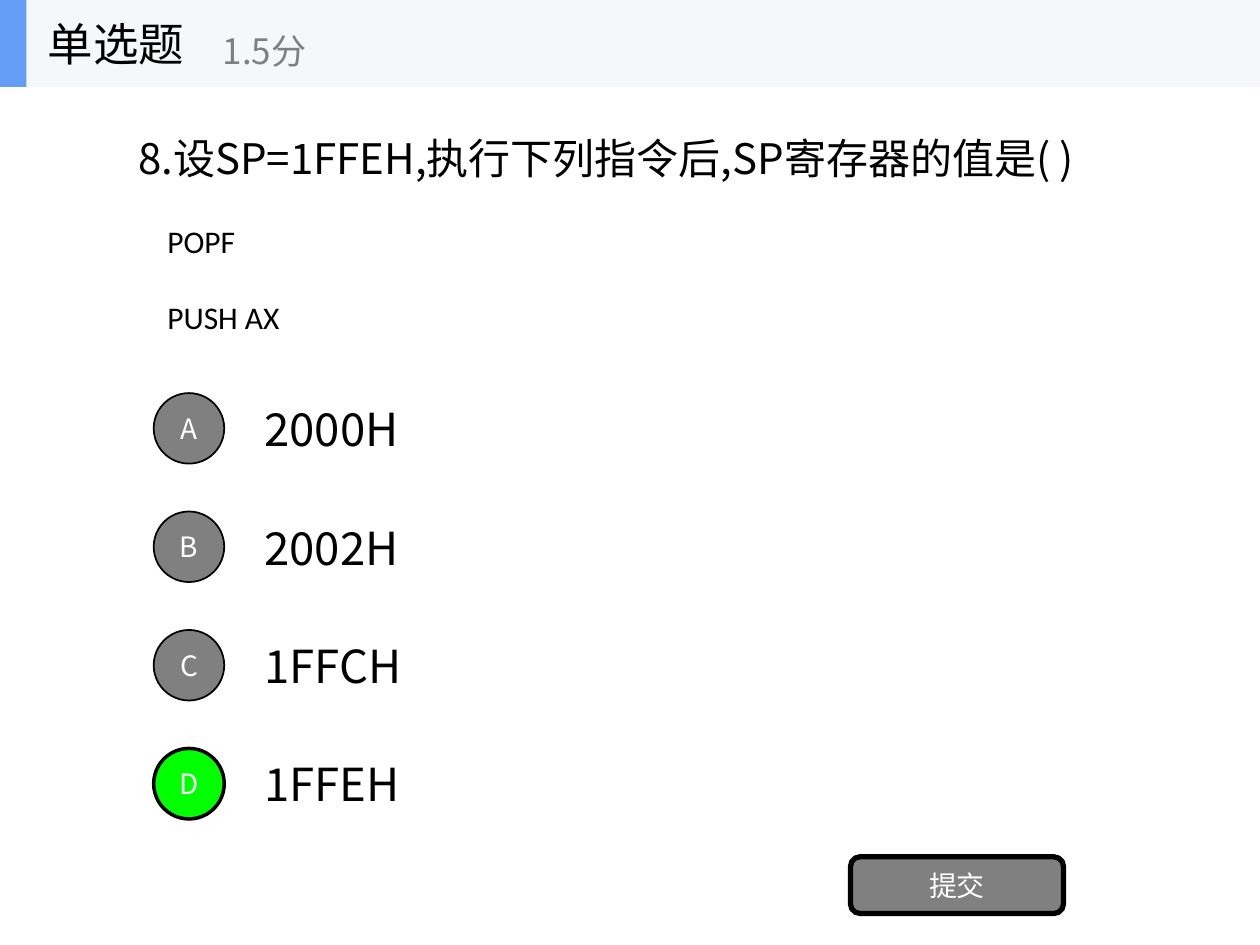
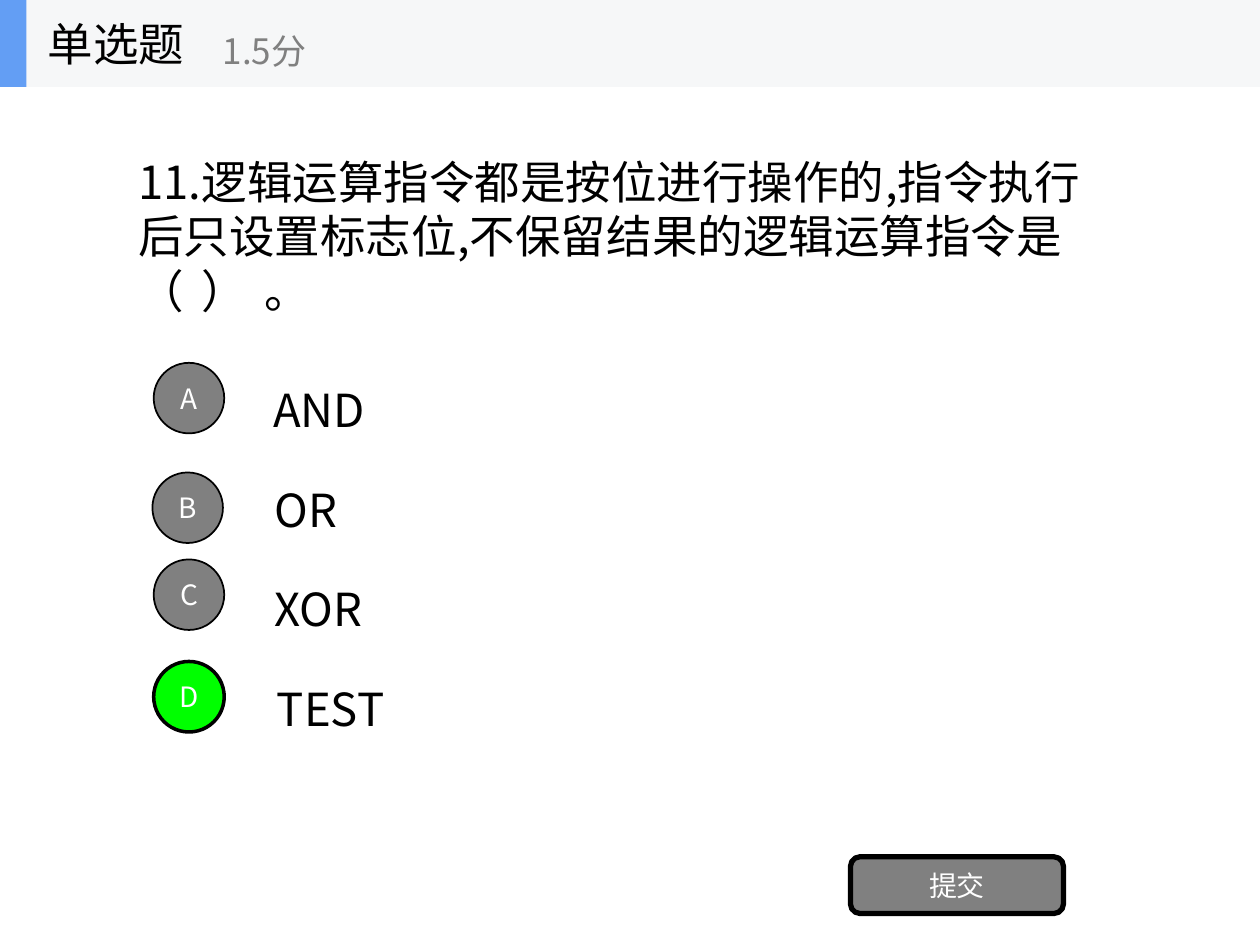
from lxml.etree import SubElement
from pptx import Presentation
from pptx.dml.color import RGBColor
from pptx.enum.shapes import MSO_SHAPE as Shape
from pptx.enum.text import MSO_ANCHOR as Anchor, MSO_AUTO_SIZE as AutoSize, PP_ALIGN as Align
from pptx.oxml.ns import qn
from pptx.util import Inches, Pt

# Shared look
BLACK = RGBColor(0x00, 0x00, 0x00)
WHITE = RGBColor(0xFF, 0xFF, 0xFF)
GRAY = RGBColor(0x80, 0x80, 0x80)
GREEN = RGBColor(0x00, 0xFF, 0x00)
BAND = RGBColor(0xF6, 0xF7, 0xF8)
ACCENT = RGBColor(0x63, 0x9E, 0xF4)
CJK, CODE = "Noto Sans CJK SC", "Calibri"

# Content: paragraphs are (text, paragraph format), options are (label, badge x, label x, label width)
HANG = 0.23
CODE_LINE = dict(size=18, font=CODE, margin=HANG, before=22)
QUESTIONS = [
    dict(
        box=(1, 0.81, 7.93, 2.1),
        paragraphs=[
            ("8.设SP=1FFEH,执行下列指令后,SP寄存器的值是( )",
             dict(size=24, margin=HANG, indent=-HANG)),
            ("POPF", CODE_LINE),
            ("PUSH AX", CODE_LINE),
        ],
        options=[("2000H", 1.22, 2, 1.43), ("2002H", 1.22, 2, 1.43),
                 ("1FFCH", 1.22, 2, 1.43), ("1FFEH", 1.22, 2, 1.38)],
        badge_tops=[3.12 + 0.94 * i for i in range(4)],
        label_tops=[3.13 + 0.94 * i for i in range(4)],
        answer="D",
    ),
    dict(
        box=(1, 1.17, 7.87, 1.4),
        paragraphs=[
            ("11.逻辑运算指令都是按位进行操作的,指令执行后只设置标志位,"
             "不保留结果的逻辑运算指令是 （\t）\t。",
             dict(size=26, tabs=(1.71, 2.28))),
        ],
        options=[("AND", 1.22, 2.07, 1.13), ("OR", 1.21, 2.08, 0.84),
                 ("XOR", 1.22, 2.08, 1.07), ("TEST", 1.22, 2.1, 1.13)],
        badge_tops=[2.88, 3.75, 4.44, 5.25],
        label_tops=[2.98 + 0.79 * i for i in range(4)],
        answer="D",
    ),
]
BADGE, LABEL_HEIGHT = 0.56, 0.54


def write(paragraph, text, size, color=BLACK, font=CJK, align=None,
          margin=0, indent=0, before=0, tabs=()):
    run = paragraph.add_run()
    run.text = text
    for name, value in dict(size=Pt(size), name=font).items():
        setattr(run.font, name, value)
    run.font.color.rgb = color
    SubElement(run.font._element, qn("a:ea")).set("typeface", font)
    paragraph.alignment = align
    paragraph.space_before = Pt(before)
    properties = paragraph._p.get_or_add_pPr()
    properties.set("marL", str(Inches(margin)))
    properties.set("indent", str(Inches(indent)))
    if tabs:
        stops = SubElement(properties, qn("a:tabLst"))
        for position in tabs:
            stop = SubElement(stops, qn("a:tab"))
            stop.set("pos", str(Inches(position)))
            stop.set("algn", "l")


def add_text(shapes, box, paragraphs, wrap=True, fit=AutoSize.SHAPE_TO_FIT_TEXT):
    frame = shapes.add_textbox(*map(Inches, box)).text_frame
    for name, value in dict(word_wrap=wrap, auto_size=fit,
                            vertical_anchor=Anchor.MIDDLE).items():
        setattr(frame, name, value)
    for i, (text, style) in enumerate(paragraphs):
        write(frame.add_paragraph() if i else frame.paragraphs[0], text, **style)


def add_block(shapes, kind, box, fill, line=0, text=""):
    block = shapes.add_shape(kind, *map(Inches, box))
    block.shadow.inherit = False
    block.fill.solid()
    block.fill.fore_color.rgb = fill
    if line:
        block.line.color.rgb = BLACK
        block.line.width = Pt(line)
    else:
        block.line.fill.background()
    if text:
        block.text_frame.vertical_anchor = Anchor.MIDDLE
        write(block.text_frame.paragraphs[0], text, 16, WHITE, align=Align.CENTER)


def add_header(slide):
    header = slide.shapes.add_group_shape().shapes
    add_block(header, Shape.RECTANGLE, (0, 0, 10, 0.69), BAND)
    add_block(header, Shape.RECTANGLE, (0, 0, 0.21, 0.69), ACCENT)
    add_text(header, (0.28, 0, 2.08, 0.69), [("单选题", dict(size=26))],
             wrap=False, fit=AutoSize.NONE)
    add_text(header, (1.67, 0.12, 2.5, 0.56), [("1.5分", dict(size=20, color=GRAY))],
             wrap=False, fit=AutoSize.NONE)


def add_question(slide, question):
    shapes = slide.shapes
    add_text(shapes, question["box"], question["paragraphs"])
    # Options: a lettered badge with its label, the right answer in green
    rows = zip("ABCD", question["options"], question["badge_tops"], question["label_tops"])
    for letter, (label, badge_x, label_x, width), badge_top, label_top in rows:
        right = letter == question["answer"]
        add_text(shapes, (label_x, label_top, width, LABEL_HEIGHT), [(label, dict(size=26))])
        add_block(shapes, Shape.OVAL, (badge_x, badge_top, BADGE, BADGE),
                  GREEN if right else GRAY, 2 if right else 1, letter)
    # Submit button
    add_block(shapes, Shape.ROUNDED_RECTANGLE, (6.75, 6.8, 1.69, 0.45), GRAY, 3, "提交")


def main():
    deck = Presentation()
    deck.slide_width, deck.slide_height = Inches(10), Inches(7.5)
    for question in QUESTIONS:
        slide = deck.slides.add_slide(deck.slide_layouts[6])
        add_question(slide, question)
        add_header(slide)
    deck.save("out.pptx")


if __name__ == "__main__":
    main()
